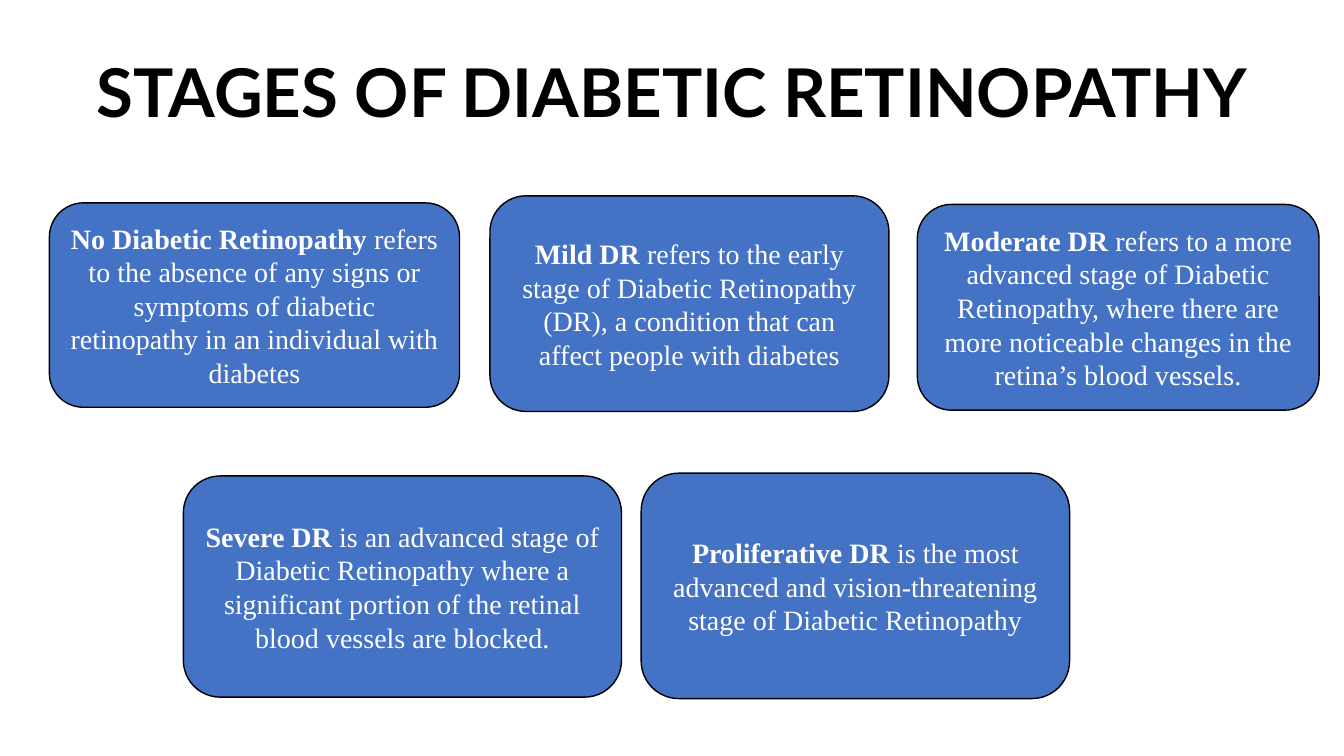
from pptx import Presentation
from pptx.dml.color import RGBColor
from pptx.enum.shapes import MSO_SHAPE
from pptx.enum.text import MSO_ANCHOR, MSO_AUTO_SIZE, PP_ALIGN
from pptx.util import Pt

ROUND = MSO_SHAPE.ROUNDED_RECTANGLE
MIDDLE = MSO_ANCHOR.MIDDLE
CENTER = PP_ALIGN.CENTER
FIXED = MSO_AUTO_SIZE.NONE
WIDTH, HEIGHT = 960, 540
TITLE_ONLY = 5

STAGES = [
    ((35.3, 144.9, 293, 146), "No Diabetic Retinopathy",
     "refers to the absence of any signs or symptoms of diabetic "
     "retinopathy in an individual with diabetes"),
    ((350, 139.9, 285, 154), "Mild DR",
     "refers to the early stage of Diabetic Retinopathy (DR), "
     "a condition that can affect people with diabetes"),
    ((655.2, 146, 287, 147), "Moderate DR",
     "refers to a more advanced stage of Diabetic Retinopathy, where "
     "there are more noticeable changes in the retina’s blood vessels."),
    ((131, 340, 313, 158), "Severe DR",
     "is an advanced stage of Diabetic Retinopathy where a significant "
     "portion of the retinal blood vessels are blocked."),
    ((458, 338, 306, 161), "Proliferative DR",
     "is the most advanced and vision-threatening stage of "
     "Diabetic Retinopathy"),
]


def color(code):
    return RGBColor.from_string(code)


def style(para, face, size, code):
    para.alignment = CENTER
    para.font.name = face
    para.font.size = Pt(size)
    para.font.color.rgb = color(code)


def add_title(slide, text):
    title = slide.shapes.title
    title.left, title.top = Pt(0), Pt(32)
    title.width, title.height = Pt(WIDTH), Pt(65.5)
    frame = title.text_frame
    frame.text = text
    frame.word_wrap = True
    frame.auto_size = FIXED
    frame.vertical_anchor = MIDDLE
    para = frame.paragraphs[0]
    style(para, "Lato", 48, "000000")
    para.font.bold = True


def add_stage(slide, box, name, text):
    card = slide.shapes.add_shape(ROUND, *map(Pt, box))
    card.shadow.inherit = False
    card.fill.solid()
    card.fill.fore_color.rgb = color("4472C4")
    card.line.color.rgb = color("000000")
    card.line.width = Pt(1)
    frame = card.text_frame
    frame.word_wrap = True
    frame.vertical_anchor = MIDDLE
    para = frame.paragraphs[0]
    style(para, "Times New Roman", 20, "FFFFFF")
    label = para.add_run()
    label.text = name + " "
    label.font.bold = True
    para.add_run().text = text


def main():
    deck = Presentation()
    deck.slide_width, deck.slide_height = Pt(WIDTH), Pt(HEIGHT)
    slide = deck.slides.add_slide(deck.slide_layouts[TITLE_ONLY])
    add_title(slide, "STAGES OF DIABETIC RETINOPATHY")
    for stage in STAGES:
        add_stage(slide, *stage)
    deck.save("out.pptx")


if __name__ == "__main__":
    main()
